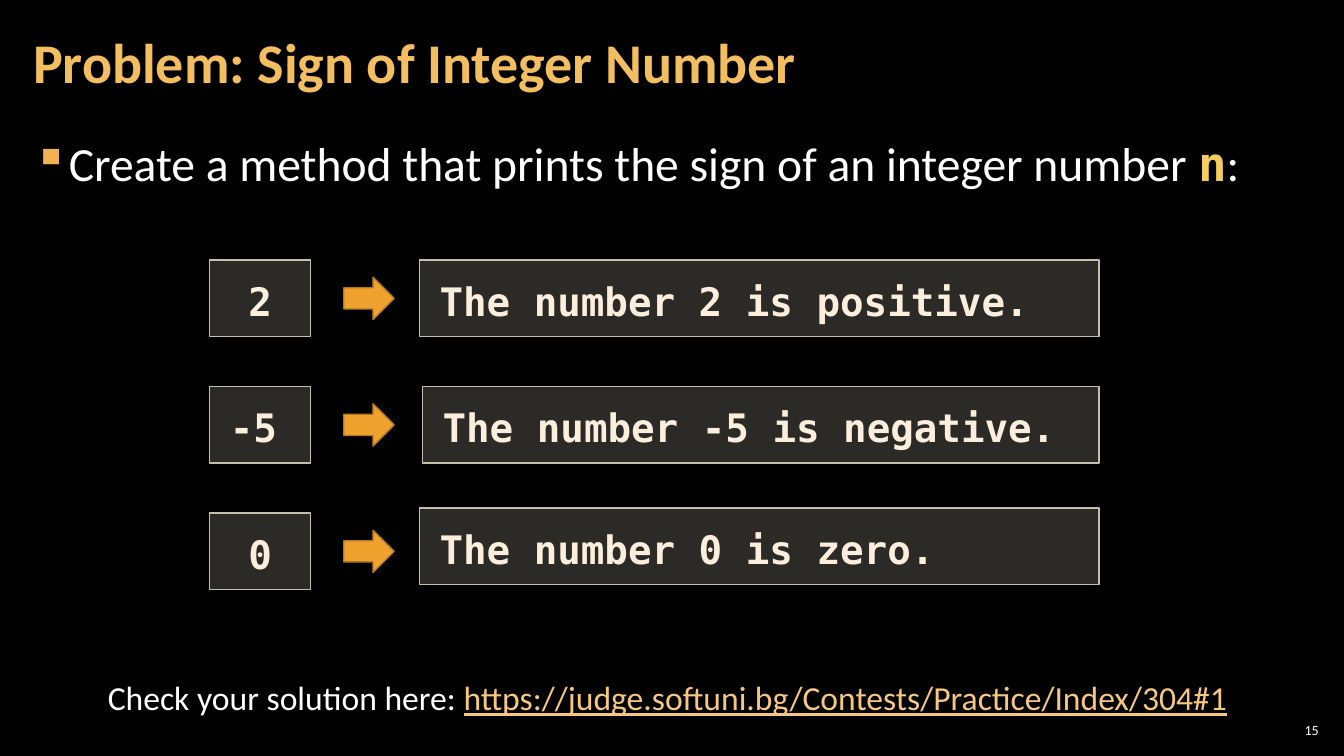
from pptx import Presentation
from pptx.dml.color import RGBColor
from pptx.enum.shapes import MSO_SHAPE as Shape
from pptx.enum.text import MSO_ANCHOR as Anchor, MSO_AUTO_SIZE as AutoSize, PP_ALIGN as Align
from pptx.oxml import parse_xml
from pptx.oxml.ns import nsdecls
from pptx.util import Inches, Pt

BLACK = RGBColor(0x00, 0x00, 0x00)
WHITE = RGBColor(0xFF, 0xFF, 0xFF)
TITLE_GOLD = RGBColor(0xF3, 0xBE, 0x60)
CODE_GOLD = RGBColor(0xF3, 0xCD, 0x60)
LINK_GOLD = RGBColor(0xF6, 0xC7, 0x81)
BULLET_GOLD = RGBColor(0xF2, 0xB2, 0x54)
PANEL_FILL = RGBColor(0xD9, 0xD5, 0xC7)
PANEL_LINE = RGBColor(0xC7, 0xBF, 0xAC)
PANEL_TEXT = RGBColor(0xFB, 0xEE, 0xDC)
ARROW_FILL = RGBColor(0xF0, 0xA2, 0x2E)
ARROW_LINE = RGBColor(0xB2, 0x78, 0x22)
SANS, MONO = "Calibri", "DejaVu Sans Mono"

EXAMPLES = [
    ("2", Align.CENTER, "The number 2 is positive.", 2.08, 0),
    ("-5", Align.LEFT, "The number -5 is negative.", 2.11, 0),
    ("0", Align.CENTER, "The number 0 is zero.", 2.08, -0.05),
]


def set_frame(frame, side, edge, anchor=Anchor.TOP):
    """Set wrapping, insets and anchoring of a text frame."""
    frame.word_wrap = True
    frame.margin_left = frame.margin_right = Inches(side)
    frame.margin_top = frame.margin_bottom = Inches(edge)
    frame.vertical_anchor = anchor


def add_span(para, text, size, color, name=SANS, bold=False):
    """Append a formatted run to a paragraph."""
    span = para.add_run()
    span.text = text
    font = span.font
    font.size, font.name, font.bold = Pt(size), name, bold
    font.color.rgb = color
    return span


def add_text(page, box, side=0.12, edge=0.04, anchor=Anchor.TOP):
    """Add a text box and return its first paragraph."""
    frame = page.shapes.add_textbox(*map(Inches, box)).text_frame
    set_frame(frame, side, edge, anchor)
    return frame.paragraphs[0]


def add_outlined(page, kind, box, fill, line):
    """Add a filled shape with a thin outline and no shadow."""
    shape = page.shapes.add_shape(kind, *map(Inches, box))
    shape.shadow.inherit = False
    shape.fill.solid()
    shape.fill.fore_color.rgb = fill
    shape.line.color.rgb = line
    shape.line.width = Pt(1)
    return shape


def add_panel(page, box, text, align=Align.LEFT):
    """Add a translucent code panel."""
    panel = add_outlined(page, Shape.RECTANGLE, box, PANEL_FILL, PANEL_LINE)
    color = panel.fill._xPr.solidFill[0]
    color.append(parse_xml(f'<a:alpha {nsdecls("a")} val="20000"/>'))
    frame = panel.text_frame
    set_frame(frame, 0.2, 0.12)
    frame.auto_size = AutoSize.SHAPE_TO_FIT_TEXT
    para = frame.paragraphs[0]
    para.alignment, para.line_spacing = align, 1.1
    add_span(para, text, 28, PANEL_TEXT, MONO, True)


def add_title(page, box):
    """Add the slide title."""
    para = add_text(page, box, anchor=Anchor.MIDDLE)
    para.line_spacing = 0.9
    add_span(para, "Problem: Sign of Integer Number", 40, TITLE_GOLD, bold=True)


def add_task(page, box):
    """Add the bulleted task statement."""
    para = add_text(page, box)
    para.line_spacing, para.space_after = 1.05, Pt(6)
    props = para._p.get_or_add_pPr()
    props.set("marL", str(Inches(0.33)))
    props.set("indent", str(-Inches(0.33)))
    props.append(parse_xml(
        f'<a:buClr {nsdecls("a")}><a:srgbClr val="{BULLET_GOLD}"/></a:buClr>'))
    props.append(parse_xml(f'<a:buChar {nsdecls("a")} char="▪"/>'))
    add_span(para, "Create a method that prints the sign of an integer number ", 34, WHITE)
    add_span(para, "n", 34, CODE_GOLD, MONO, True)
    add_span(para, ":", 34, WHITE)


def add_examples(page, box):
    """Add rows of input panel, arrow and output panel."""
    left, top, width, height = box
    panel_height = 0.76
    step = (height - panel_height) / (len(EXAMPLES) - 1)
    for index, (value, align, output, offset, shift) in enumerate(EXAMPLES):
        row = top + index * step
        add_panel(page, (left, row, 1, panel_height), value, align)
        add_outlined(page, Shape.RIGHT_ARROW, (left + 1.33, row + 0.17, 0.5, 0.42),
                     ARROW_FILL, ARROW_LINE)
        add_panel(page, (left + offset, row + shift, width - offset, panel_height), output)


def add_check_line(page, box):
    """Add the line with the address for checking solutions."""
    para = add_text(page, box, 0.1, 0.05)
    para.alignment = Align.CENTER
    add_span(para, "Check your solution here: ", 24, WHITE)
    address = "https://judge.softuni.bg/Contests/Practice/Index/304#1"
    add_span(para, address, 24, LINK_GOLD).font.underline = True


def add_page_number(page, box):
    """Add the slide number."""
    para = add_text(page, box, 0.04, 0.04, Anchor.MIDDLE)
    para.alignment = Align.RIGHT
    add_span(para, "15", 10, WHITE)


def main():
    """Build and save the deck."""
    deck = Presentation()
    deck.slide_width, deck.slide_height = Inches(13.33), Inches(7.5)
    page = deck.slides.add_slide(deck.slide_layouts[6])
    page.background.fill.solid()
    page.background.fill.fore_color.rgb = BLACK
    add_page_number(page, (12.65, 7.14, 0.47, 0.21))
    add_task(page, (0.21, 1.26, 12.91, 6.09))
    add_title(page, (0.21, 0.04, 10.47, 1.21))
    add_examples(page, (2.08, 2.58, 8.82, 3.27))
    add_check_line(page, (0.83, 6.67, 11.58, 0.5))
    deck.save("out.pptx")


if __name__ == "__main__":
    main()
